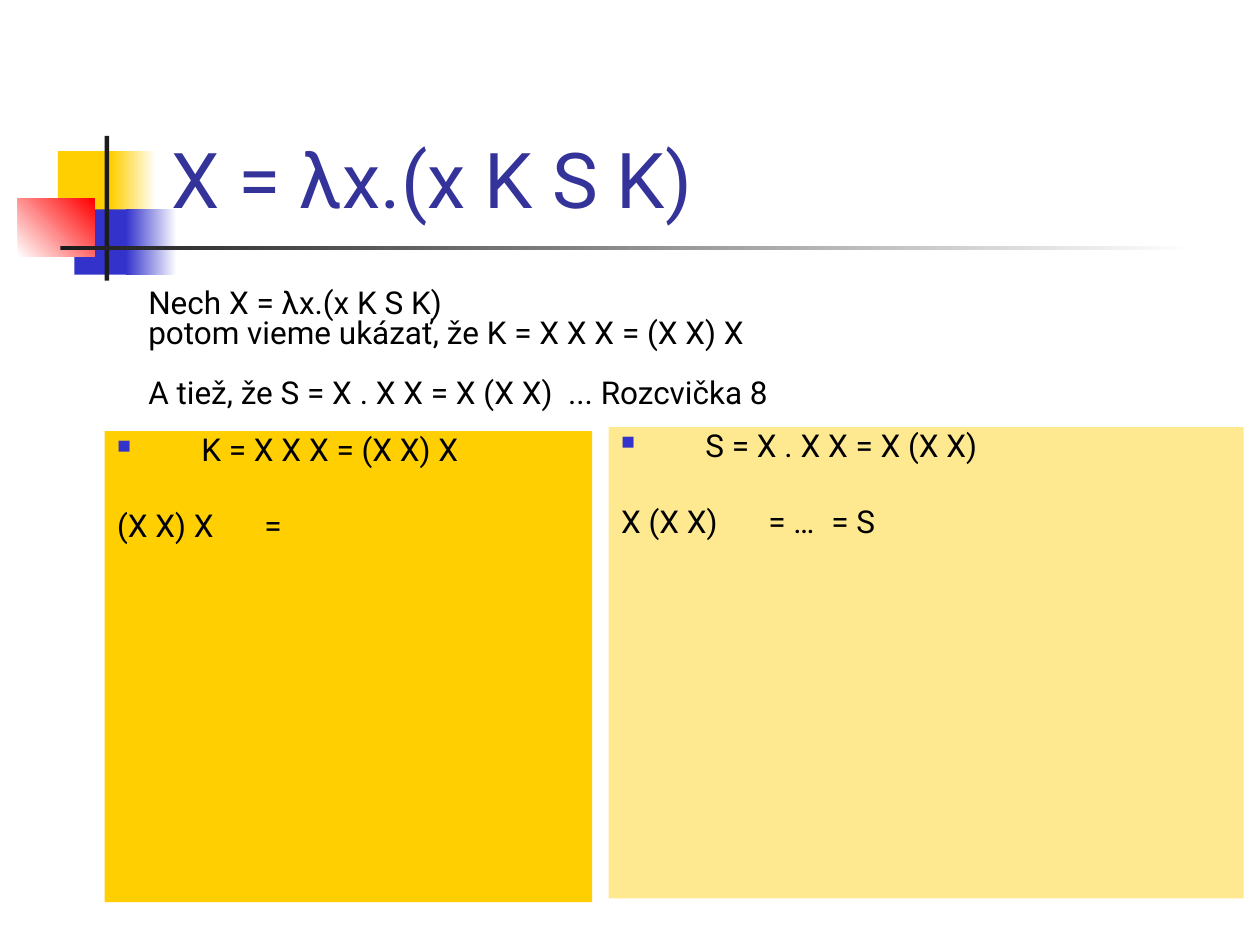
from lxml import etree
from pptx import Presentation
from pptx import util as u
from pptx.dml.color import RGBColor
from pptx.enum import shapes, text
from pptx.oxml import ns

YELLOW, PALE, BLUE, RED = "FFCF01", "FFE990", "3333CC", "FF0000"
WHITE, BLACK, DARK, TITLE_BLUE = "FFFFFF", "000000", "1C1C1C", "333399"
HANGING = 1.7
TABS = [2.54, 5.08]


def rgb(color):
    return RGBColor.from_string(color)


def add_xml(parent, tag, **attributes):
    return etree.SubElement(parent, ns.qn(tag), attributes)


def write(paragraph, content, size=18, color=BLACK, spacing=None, before=0,
          hanging=0, bullet=None, tabs=()):
    """Fill a paragraph; hanging and tabs are in cm, before is in points."""
    paragraph.alignment = text.PP_ALIGN.LEFT
    paragraph.line_spacing = spacing
    paragraph.space_before = u.Pt(before)
    run = paragraph.add_run()
    run.text = content
    run.font.size = u.Pt(size)
    run.font.name = "Roboto"
    run.font.color.rgb = rgb(color)

    properties = paragraph._p.get_or_add_pPr()
    properties.set("marL", str(u.Cm(hanging)))
    properties.set("indent", str(u.Cm(-hanging)))
    if bullet:
        add_xml(add_xml(properties, "a:buClr"), "a:srgbClr", val=bullet)
        add_xml(properties, "a:buSzPct", val="60000")
        add_xml(properties, "a:buChar", char="■")
    else:
        add_xml(properties, "a:buNone")
    if tabs:
        stops = add_xml(properties, "a:tabLst")
        for position in tabs:
            add_xml(stops, "a:tab", pos=str(u.Cm(position)), algn="l")


class Deck:
    def __init__(self):
        self.presentation = Presentation()
        self.presentation.slide_width = u.Cm(25.4)
        self.presentation.slide_height = u.Cm(19.05)
        self.slide = self.presentation.slides.add_slide(
            self.presentation.slide_layouts[5])

    def title(self, content, left, top, width, height):
        heading = self.slide.shapes.title
        heading.left, heading.top = u.Cm(left), u.Cm(top)
        heading.width, heading.height = u.Cm(width), u.Cm(height)
        frame = heading.text_frame
        frame.auto_size = text.MSO_AUTO_SIZE.NONE
        frame.vertical_anchor = text.MSO_ANCHOR.BOTTOM
        write(frame.paragraphs[0], content, size=44, color=TITLE_BLUE)

    def block(self, left, top, width, height, color, fade_to=None, angle=0):
        """Add a rectangle, plain or fading from one colour to another."""
        rectangle = self.slide.shapes.add_shape(
            shapes.MSO_SHAPE.RECTANGLE,
            u.Cm(left), u.Cm(top), u.Cm(width), u.Cm(height))
        rectangle.shadow.inherit = False
        rectangle.line.fill.background()
        if fade_to:
            rectangle.fill.gradient()
            rectangle.fill.gradient_angle = angle
            for stop, shade in zip(rectangle.fill.gradient_stops, (color, fade_to)):
                stop.color.rgb = rgb(shade)
        else:
            rectangle.fill.solid()
            rectangle.fill.fore_color.rgb = rgb(color)
        return rectangle

    def panel(self, left, top, width, height, color, claim, reduction):
        frame = self.block(left, top, width, height, color).text_frame
        frame.word_wrap = True
        frame.vertical_anchor = text.MSO_ANCHOR.TOP
        write(frame.paragraphs[0], claim, spacing=0.8, before=4.5,
              hanging=HANGING, bullet=BLUE)
        write(frame.add_paragraph(), reduction, spacing=0.8, before=26,
              hanging=HANGING, tabs=TABS)

    def note(self, left, top, width, height, lines):
        """Add a text box from pairs of text and space before it."""
        frame = self.slide.shapes.add_textbox(
            u.Cm(left), u.Cm(top), u.Cm(width), u.Cm(height)).text_frame
        frame.word_wrap = True
        for index, (content, before) in enumerate(lines):
            paragraph = frame.add_paragraph() if index else frame.paragraphs[0]
            write(paragraph, content, spacing=0.8, before=before, hanging=HANGING)


def main():
    deck = Deck()

    deck.block(1.17, 3.05, 1.22, 1.32, YELLOW)
    deck.block(2.24, 3.05, 0.91, 1.32, YELLOW, fade_to=WHITE)
    deck.block(1.5, 4.22, 1.17, 1.32, BLUE)
    deck.block(2.54, 4.22, 1.02, 1.32, BLUE, fade_to=WHITE)
    deck.block(0.36, 4.01, 1.55, 1.17, WHITE, fade_to=RED, angle=45)
    deck.block(2.11, 2.74, 0.09, 2.92, DARK)
    deck.block(1.22, 4.95, 22.86, 0.09, DARK, fade_to=WHITE)

    deck.title("X = λx.(x K S K)", 3.2, 0.58, 21.64, 4.06)
    deck.panel(2.11, 8.69, 9.83, 9.5, YELLOW,
               "K = X X X = (X X) X", "(X X) X \t=")
    deck.panel(12.27, 8.61, 12.8, 9.5, PALE,
               "S = X . X X = X (X X)", "X (X X) \t= …\t= S")
    deck.note(2.74, 5.72, 17.78, 2.69, [
        ("Nech X = λx.(x K S K)", 0),
        ("potom vieme ukázať, že K = X X X = (X X) X", 0),
        ("A tiež, že S = X . X X = X (X X)  ... Rozcvička 8", 17),
    ])

    deck.presentation.save("out.pptx")


if __name__ == "__main__":
    main()
